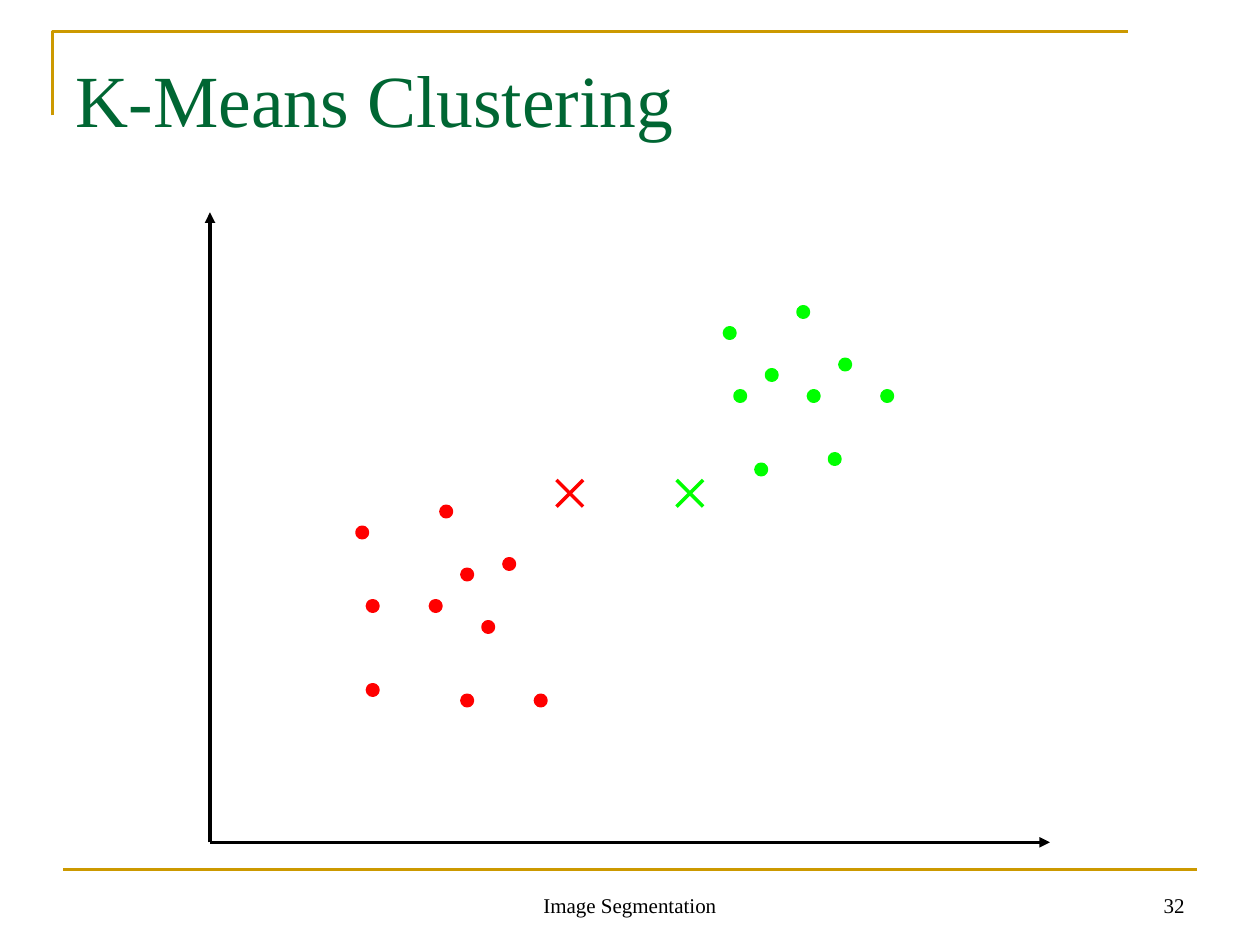
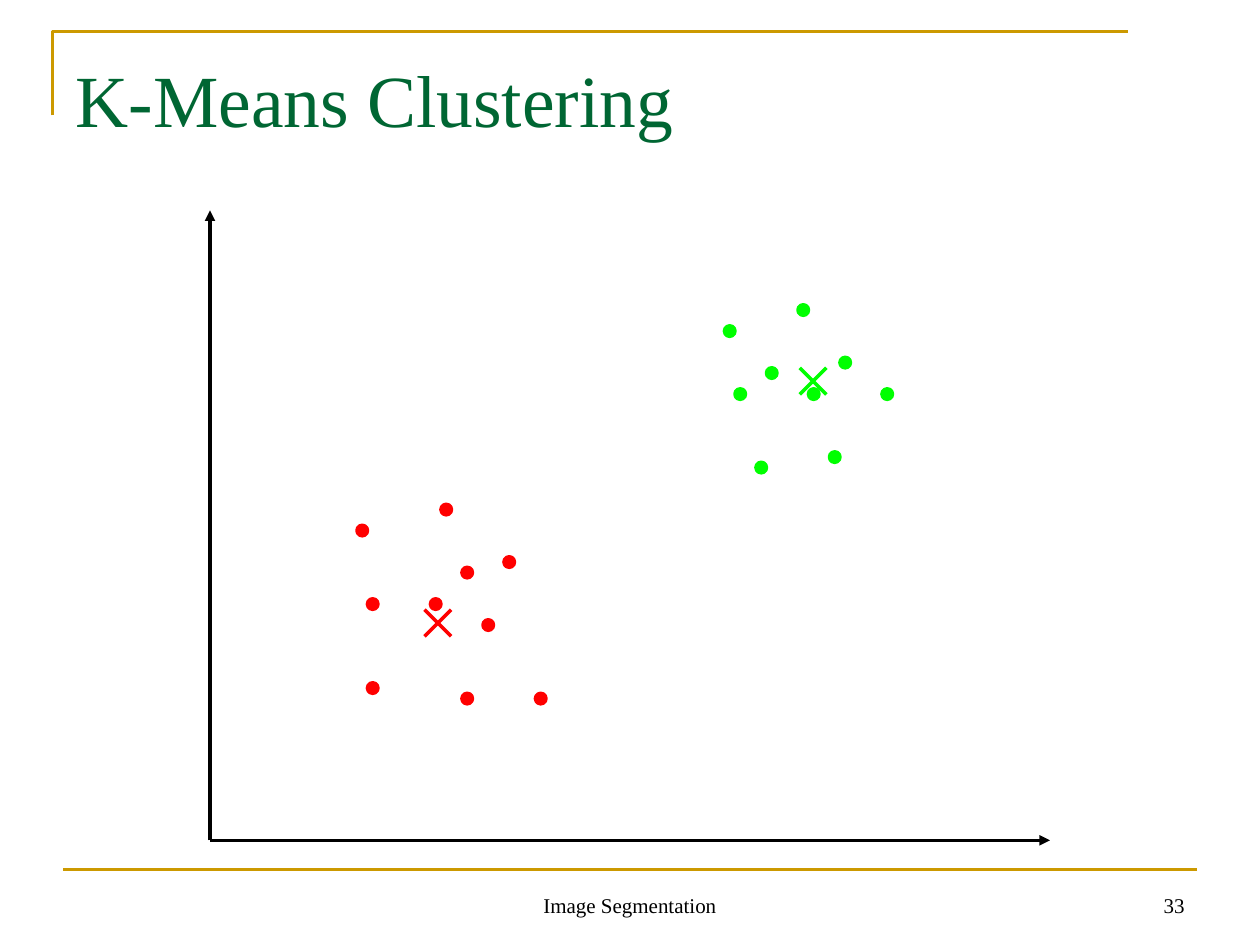
from lxml.etree import SubElement
from pptx import Presentation
from pptx.dml.color import RGBColor
from pptx.enum.shapes import MSO_CONNECTOR, MSO_SHAPE
from pptx.enum.text import MSO_ANCHOR, MSO_AUTO_SIZE, PP_ALIGN
from pptx.oxml.ns import qn
from pptx.util import Pt

GOLD = RGBColor(0xCC, 0x99, 0x00)
PINE = RGBColor(0x00, 0x66, 0x33)
BLACK = RGBColor(0x00, 0x00, 0x00)
RED = RGBColor(0xFF, 0x00, 0x00)
GREEN = RGBColor(0x00, 0xFF, 0x00)

STEP = 6
LEFT = 120
GREENS = [(49, 49), (50, 43), (53, 45), (56, 51), (60, 46),
          (57, 43), (52, 36), (59, 37), (64, 43)]
REDS = [(22, 32), (28, 27), (26, 21), (24, 26), (14, 30),
        (15, 23), (21, 23), (24, 14), (15, 15), (31, 14)]

STAGES = [
    {"number": 32, "base": 481.3, "means": [(325.6, 281.9, RED), (394.2, 281.9, GREEN)]},
    {"number": 33, "base": 480.2, "means": [(250.2, 356, RED), (464.6, 217.8, GREEN)]},
]


def apply(target, values):
    for name, value in values.items():
        setattr(target, name, value)


class Deck:
    face = "Times New Roman"
    frame = {"word_wrap": True, "auto_size": MSO_AUTO_SIZE.NONE,
             "margin_left": Pt(7.2), "margin_right": Pt(7.2),
             "margin_bottom": Pt(3.6)}

    def __init__(self):
        self.show = Presentation()
        apply(self.show, {"slide_width": Pt(720), "slide_height": Pt(540)})
        self.slide = None

    def start(self, title, footer, number):
        self.slide = self.show.slides.add_slide(self.show.slide_layouts[5])
        self.corner()
        self.line((36, 496.8), (684, 496.8), GOLD, 1.5)
        self.label(footer, 246, 228, PP_ALIGN.CENTER)
        self.label(str(number), 516, 168, PP_ALIGN.RIGHT)
        self.title(title)

    def letter(self, shape, text, size, color, align, anchor, top):
        frame = shape.text_frame
        apply(frame, {**self.frame, "vertical_anchor": anchor, "margin_top": Pt(top)})
        frame.text = text
        para = frame.paragraphs[0]
        para.alignment = align
        apply(para.font, {"name": self.face, "size": Pt(size)})
        para.font.color.rgb = color

    def title(self, text):
        shape = self.slide.shapes.title
        apply(shape, {"left": Pt(36), "top": Pt(21.6), "width": Pt(648), "height": Pt(90)})
        self.letter(shape, text, 42, PINE, PP_ALIGN.LEFT, MSO_ANCHOR.TOP, 9)

    def label(self, text, left, width, align):
        box = self.slide.shapes.add_textbox(Pt(left), Pt(492), Pt(width), Pt(36))
        self.letter(box, text, 12, BLACK, align, MSO_ANCHOR.BOTTOM, 3.6)

    def stroke(self, shape, color, width):
        shape.line.color.rgb = color
        shape.line.width = Pt(width)

    def corner(self):
        pen = self.slide.shapes.build_freeform(Pt(30), Pt(66))
        pen.add_line_segments([(Pt(30), Pt(18)), (Pt(644.4), Pt(18))], close=False)
        shape = pen.convert_to_shape()
        shape.fill.background()
        shape.shadow.inherit = False
        self.stroke(shape, GOLD, 1.5)

    def line(self, start, end, color, width=2, arrow=False):
        ends = [Pt(value) for value in (*start, *end)]
        link = self.slide.shapes.add_connector(MSO_CONNECTOR.STRAIGHT, *ends)
        self.stroke(link, color, width)
        props = link.element.spPr
        if arrow:
            SubElement(props.find(qn("a:ln")), qn("a:tailEnd"), type="triangle")
        SubElement(props, qn("a:effectLst"))

    def axes(self, base):
        for end in [(600, base), (LEFT, base - 360)]:
            self.line((LEFT, base), end, BLACK, arrow=True)

    def dots(self, cells, base, color):
        for col, row in cells:
            dot = self.slide.shapes.add_shape(
                MSO_SHAPE.OVAL, Pt(LEFT + col * STEP), Pt(base - row * STEP),
                Pt(STEP), Pt(STEP))
            dot.shadow.inherit = False
            dot.fill.solid()
            dot.fill.fore_color.rgb = color
            self.stroke(dot, color, 2)

    def cross(self, x, y, color, half=7.6):
        for rise in (half, -half):
            self.line((x - half, y - rise), (x + half, y + rise), color)


def main():
    deck = Deck()
    for stage in STAGES:
        base = stage["base"]
        deck.start("K-Means Clustering", "Image Segmentation", stage["number"])
        deck.axes(base)
        deck.dots(GREENS, base, GREEN)
        deck.dots(REDS, base, RED)
        for mean in stage["means"]:
            deck.cross(*mean)
    deck.show.save("out.pptx")


if __name__ == "__main__":
    main()
